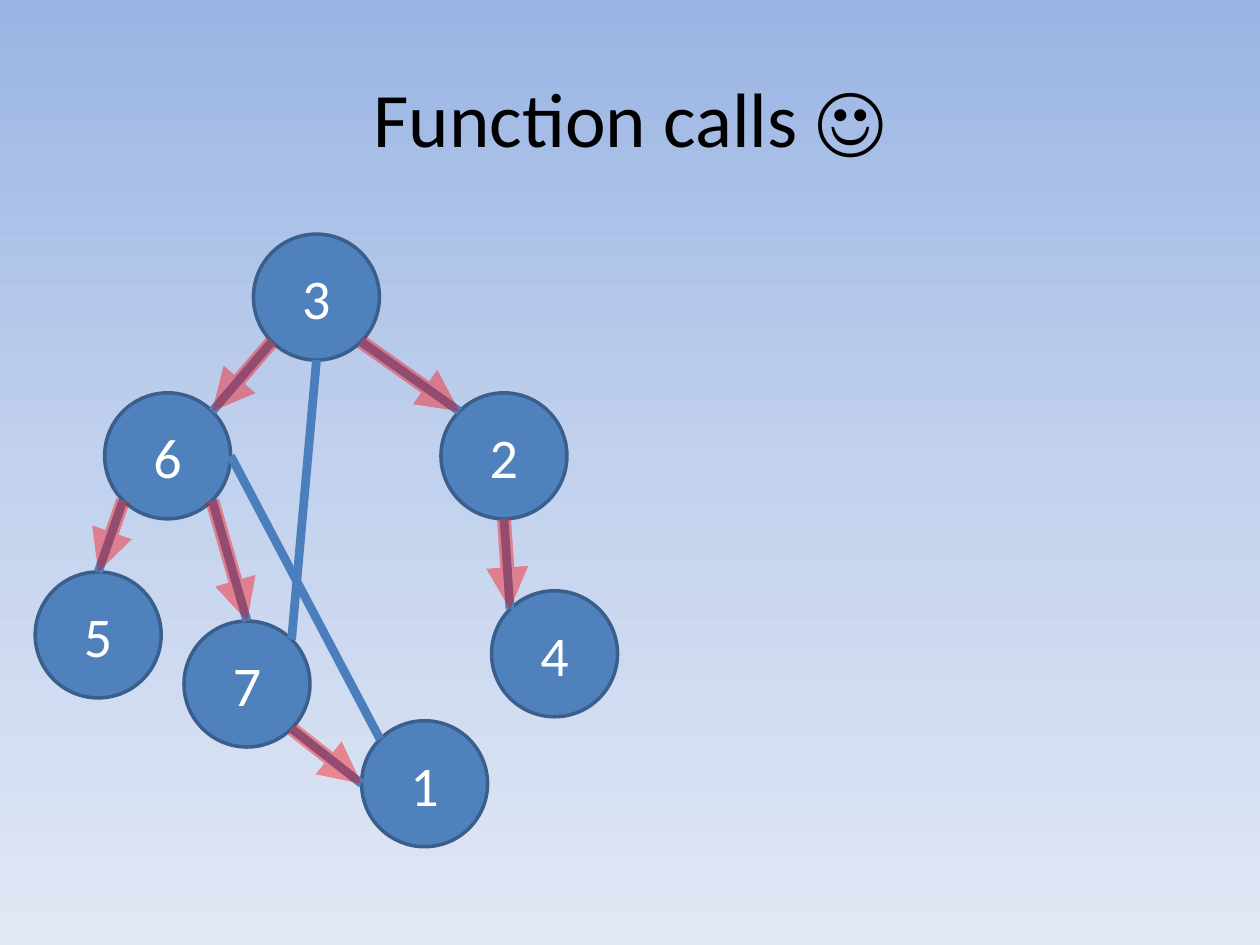
from copy import deepcopy
from dataclasses import dataclass
from math import sqrt

from lxml import etree
from pptx import Presentation
from pptx.dml.color import RGBColor
from pptx.enum import shapes, text
from pptx.oxml import ns
from pptx.util import Cm, Pt


@dataclass(frozen=True)
class Theme:
    """Colours, type sizes and line widths of the slide."""
    sky: tuple = ((0, "9AB5E4"), (0.5, "C2D1ED"), (1, "E1E8F5"))
    ink: str = "000000"
    node: str = "4F81BD"
    rim: str = "3A5F8C"
    edge: str = "4B7EBC"
    call: str = "FF0000"
    label: str = "FFFFFF"
    font: str = "Calibri"
    head: int = 44
    body: int = 32
    thin: int = 2
    thick: int = 5
    wide: int = 8
    alpha: int = 40


THEME = Theme()
SIZE = 2.54
NODES = {"3": (4.4, 0), "6": (1.4, 3.2), "5": (0, 6.81), "7": (3, 7.8),
         "4": (9.2, 7.19), "2": (8.18, 3.2), "1": (6.58, 9.81)}
DIAG = 1 / sqrt(2)
SIDES = {"N": (0, -1), "S": (0, 1), "W": (-1, 0), "E": (1, 0),
         "NW": (-DIAG, -DIAG), "NE": (DIAG, -DIAG),
         "SW": (-DIAG, DIAG), "SE": (DIAG, DIAG)}
CALLS = [("3", "SW", "6", "NE"), ("2", "S", "4", "NW"), ("6", "SW", "5", "N"),
         ("6", "SE", "7", "N"), ("7", "SE", "1", "W"), ("3", "SE", "2", "NW")]
LINKS = [("3", "S", "7", "NE"), ("6", "E", "1", "NW")]


def paint_back(slide):
    """Fill the background with the vertical gradient."""
    fill = slide.background.fill
    fill.gradient()
    fill.gradient_angle = 270
    stops = slide.element.find(".//" + ns.qn("a:gsLst"))
    stops.insert(1, deepcopy(stops[0]))
    for stop, (place, shade) in zip(fill.gradient_stops, THEME.sky):
        stop.position = place
        stop.color.rgb = RGBColor.from_string(shade)


def set_text(shape, words, size, shade):
    """Write centred text in a shape."""
    frame = shape.text_frame
    frame.text = words
    frame.word_wrap = True
    frame.vertical_anchor = text.MSO_ANCHOR.MIDDLE
    para = frame.paragraphs[0]
    para.alignment = text.PP_ALIGN.CENTER
    font = para.runs[0].font
    font.name, font.size = THEME.font, Pt(size)
    font.color.rgb = RGBColor.from_string(shade)


def add_title(slide, left, top, width, height):
    """Place the title in its box."""
    box = slide.shapes.add_textbox(Cm(left), Cm(top), Cm(width), Cm(height))
    set_text(box, "Function calls ☺", THEME.head, THEME.ink)


def add_node(slide, left, top, label):
    """Draw one labelled circle."""
    node = slide.shapes.add_shape(shapes.MSO_SHAPE.OVAL, Cm(left), Cm(top),
                                  Cm(SIZE), Cm(SIZE))
    node.shadow.inherit = False
    node.fill.solid()
    node.fill.fore_color.rgb = RGBColor.from_string(THEME.node)
    node.line.color.rgb = RGBColor.from_string(THEME.rim)
    node.line.width = Pt(THEME.thin)
    set_text(node, label, THEME.body, THEME.label)


def add_line(slide, start, end, shade, width):
    """Draw a plain line between two points."""
    line = slide.shapes.add_connector(shapes.MSO_CONNECTOR.STRAIGHT,
                                      *map(Cm, start + end))
    line.line.color.rgb = RGBColor.from_string(shade)
    line.line.width = Pt(width)
    etree.SubElement(line.element.spPr, ns.qn("a:effectLst"))
    return line


def add_call(slide, start, end):
    """Draw a see-through arrow between two points."""
    arrow = add_line(slide, start, end, THEME.call, THEME.wide)
    stroke = arrow.line._get_or_add_ln()
    tint = stroke.find(".//" + ns.qn("a:srgbClr"))
    etree.SubElement(tint, ns.qn("a:alpha"), val=str(THEME.alpha * 1000))
    etree.SubElement(stroke, ns.qn("a:tailEnd"), type="triangle")


def add_graph(slide, left, top):
    """Draw the nodes, their links and the calls from the box corner."""
    def rim(name, side):
        """Return the point on one side of a node."""
        return tuple(base + off + SIZE / 2 * (1 + step) for base, off, step
                     in zip((left, top), NODES[name], SIDES[side]))

    for name, (across, down) in NODES.items():
        add_node(slide, left + across, top + down, name)
    for one, out, two, into in CALLS + LINKS:
        add_line(slide, rim(one, out), rim(two, into), THEME.edge, THEME.thick)
    for one, out, two, into in CALLS:
        add_call(slide, rim(one, out), rim(two, into))


def main():
    """Build and save the slide."""
    deck = Presentation()
    deck.slide_width, deck.slide_height = Cm(25.4), Cm(19.05)
    slide = deck.slides.add_slide(deck.slide_layouts[6])
    paint_back(slide)
    add_title(slide, 1.27, 0.76, 22.86, 3.18)
    add_graph(slide, 0.71, 4.72)
    deck.save("out.pptx")


if __name__ == "__main__":
    main()
